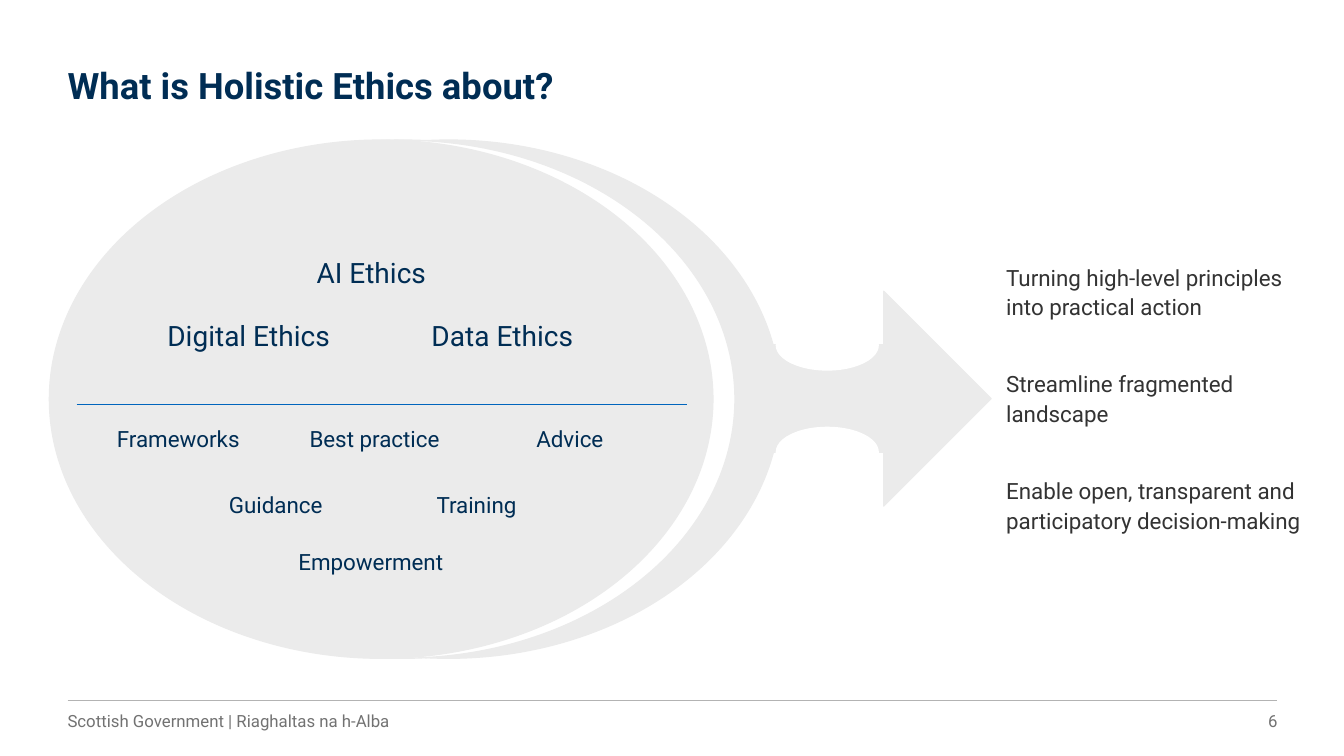
from lxml import etree
from pptx import Presentation
from pptx import util as u
from pptx.dml.color import RGBColor
from pptx.enum import shapes, text
from pptx.oxml.ns import qn

Inches = u.Inches
NAVY = RGBColor(0x00, 0x2D, 0x54)
BLUE = RGBColor(0x00, 0x65, 0xBD)
CHARCOAL = RGBColor(0x33, 0x33, 0x33)
GREY = RGBColor(0x72, 0x72, 0x72)
RULE_GREY = RGBColor(0xB3, 0xB3, 0xB3)
PALE_GREY = RGBColor(0xEB, 0xEB, 0xEB)
WHITE = RGBColor(0xFF, 0xFF, 0xFF)

prs = Presentation()
prs.slide_width, prs.slide_height = Inches(13.33), Inches(7.5)
slide = prs.slides.add_slide(prs.slide_layouts[6])


def add_text(words, left, top, width, height, size=16, color=NAVY, bold=False,
             align=text.PP_ALIGN.LEFT, anchor=text.MSO_ANCHOR.TOP,
             spacing=1.1, after=6):
    box = slide.shapes.add_textbox(
        Inches(left), Inches(top), Inches(width), Inches(height))
    frame = box.text_frame
    frame.word_wrap = True
    frame.vertical_anchor = anchor
    frame.margin_left = frame.margin_right = 0
    frame.margin_top = frame.margin_bottom = 0
    paragraph = frame.paragraphs[0]
    paragraph.text = words
    paragraph.alignment = align
    paragraph.line_spacing = spacing
    paragraph.space_after = u.Pt(after)
    paragraph.font.name = "Roboto"
    paragraph.font.size = u.Pt(size)
    paragraph.font.bold = bold
    paragraph.font.color.rgb = color


# Title and footer
add_text("What is Holistic Ethics about?", 0.67, 0.68, 12, 0.39,
         size=26, bold=True, spacing=0.9, after=0)
footer = dict(size=12, color=GREY, anchor=text.MSO_ANCHOR.MIDDLE,
              spacing=1.0, after=0)
add_text("Scottish Government | Riaghaltas na h-Alba", 0.67, 6.95, 9.93, 0.4,
         **footer)
add_text("6", 11.04, 6.95, 1.63, 0.4, align=text.PP_ALIGN.RIGHT, **footer)

# Layered ovals, then the arrow with its shaft narrowed by two white ovals
OVAL, ARROW = shapes.MSO_SHAPE.OVAL, shapes.MSO_SHAPE.RIGHT_ARROW
for kind, left, top, width, height, fill, outline in (
        (OVAL, 1.16, 1.39, 6.58, 5.14, PALE_GREY, PALE_GREY),
        (OVAL, 0.71, 1.39, 6.58, 5.14, WHITE, PALE_GREY),
        (OVAL, 0.49, 1.39, 6.58, 5.14, PALE_GREY, PALE_GREY),
        (ARROW, 7.58, 2.89, 2.25, 2.13, PALE_GREY, PALE_GREY),
        (OVAL, 7.7, 4.24, 1.01, 0.49, WHITE, WHITE),
        (OVAL, 7.7, 3.18, 1.01, 0.49, WHITE, WHITE)):
    shape = slide.shapes.add_shape(
        kind, Inches(left), Inches(top), Inches(width), Inches(height))
    shape.shadow.inherit = False
    shape.fill.solid()
    shape.fill.fore_color.rgb = fill
    shape.line.color.rgb = outline
    shape.line.width = u.Pt(1)

# Footer rule and the divider inside the oval
for start, end, y, color, weight in (
        (0.67, 12.67, 6.95, RULE_GREY, 0.75),
        (0.76, 6.81, 4.01, BLUE, 0.5)):
    rule = slide.shapes.add_connector(
        shapes.MSO_CONNECTOR.STRAIGHT,
        Inches(start), Inches(y), Inches(end), Inches(y))
    rule.line.color.rgb = color
    rule.line.width = u.Pt(weight)
    etree.SubElement(rule._element.spPr, qn("a:effectLst"))

# Fields of ethics above the divider, means of support below it
for field, left, top in (("AI Ethics", 3.14, 2.5),
                         ("Digital Ethics", 1.66, 3.13),
                         ("Data Ethics", 4.28, 3.13)):
    add_text(field, left, top, 3, 0.35, size=20)
for support, left, top in (("Frameworks", 1.16, 4.19),
                           ("Best practice", 3.07, 4.19),
                           ("Advice", 5.32, 4.19),
                           ("Guidance", 2.27, 4.85),
                           ("Training", 4.33, 4.85),
                           ("Empowerment", 2.96, 5.41)):
    add_text(support, left, top, 3, 0.28)

outcomes = ("Turning high-level principles into practical action",
            "Streamline fragmented landscape",
            "Enable open, transparent and participatory decision-making")
for row, outcome in enumerate(outcomes):
    add_text(outcome, 9.98, 2.59 + 1.06 * row, 3, 0.57, color=CHARCOAL)

prs.save("out.pptx")
